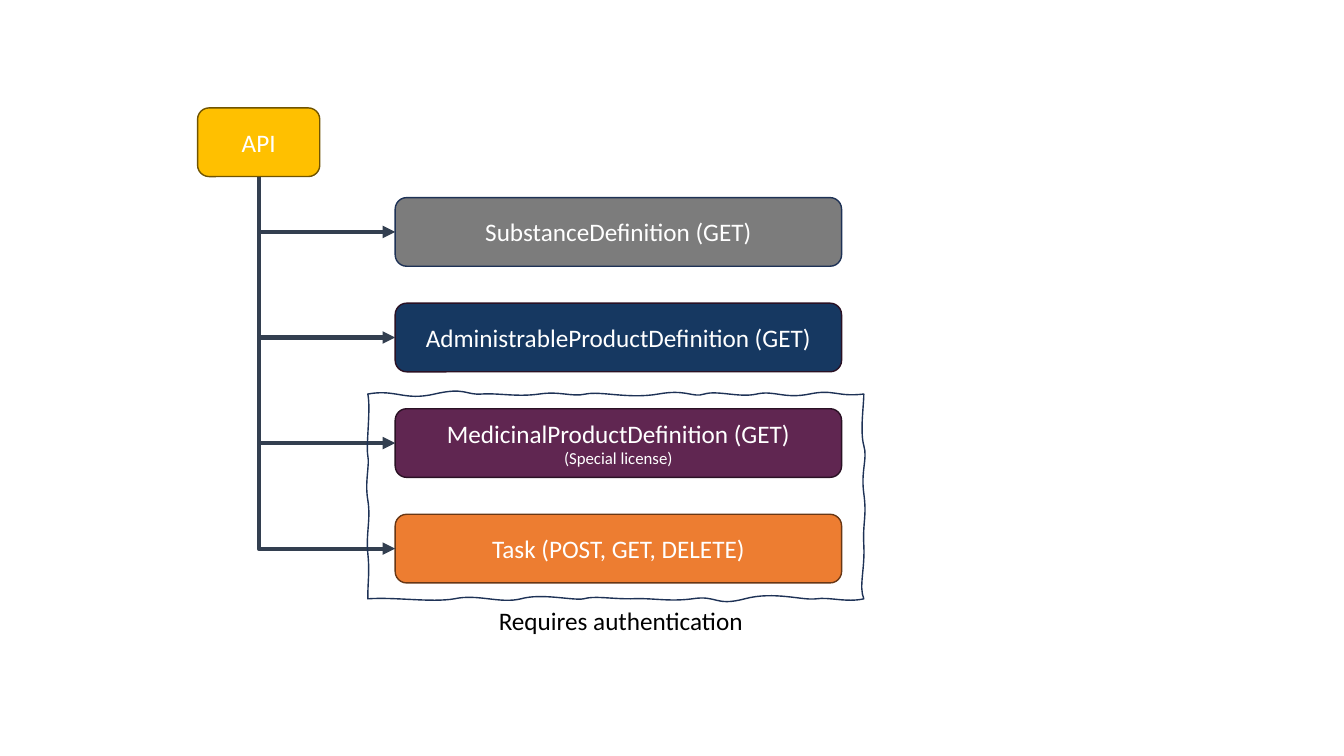
import dataclasses

import lxml.etree
import pptx
import pptx.dml.color
import pptx.enum.shapes
import pptx.enum.text
import pptx.oxml.ns
import pptx.util

Cm = pptx.util.Cm
Pt = pptx.util.Pt
qn = pptx.oxml.ns.qn


@dataclasses.dataclass(frozen=True)
class Theme:
    font: str = "Calibri"
    body_size: int = 18
    note_size: int = 12
    light_text: str = "FFFFFF"
    dark_text: str = "000000"
    connector: str = "333F50"
    navy_line: str = "1E3256"
    plum_line: str = "2A1124"
    api: tuple = ("FFC000", "705400")
    substance: tuple = ("7C7C7C", navy_line)
    administrable: tuple = ("163861", plum_line)
    medicinal: tuple = ("602651", plum_line)
    task: tuple = ("ED7D31", "683715")
    outline_width: float = 1
    connector_width: float = 3


THEME = Theme()

RESOURCES = [
    ("SubstanceDefinition (GET)", None, THEME.substance),
    ("AdministrableProductDefinition (GET)", None, THEME.administrable),
    ("MedicinalProductDefinition (GET)", "(Special license)", THEME.medicinal),
    ("Task (POST, GET, DELETE)", None, THEME.task),
]

TOP_WAVES = [
    (0.71, -0.13, 0.91, 0.18, 1.68), (2.46, -0.18, 2.46, 0.03, 2.87),
    (3.28, -0.03, 3.76, 0.08, 4.32), (4.85, -0.08, 5.13, 0.08, 5.49),
    (5.87, -0.08, 6.58, 0.13, 7.32), (8.03, -0.13, 8.18, 0.1, 8.48),
    (8.81, -0.1, 9.37, 0.1, 9.8), (10.24, -0.1, 10.49, 0.13, 11.13),
    (11.76, -0.13, 11.81, 0.08, 12.5),
]
RIGHT_WAVES = [
    (0.28, 0, 0.94, -0.1, 1.3), (1.63, 0.1, 1.93, -0.08, 2.51),
    (3.1, 0.08, 3.2, -0.03, 3.81), (4.42, 0.03, 4.85, -0.13, 5.16),
]
BOTTOM_WAVES = [
    (12.07, 0.1, 11.63, -0.05, 11.3), (10.97, 0.05, 10.24, -0.2, 9.5),
    (8.74, 0.2, 8.81, -0.1, 8.18), (7.57, 0.08, 7.16, -0.03, 6.63),
    (6.07, 0, 5.72, -0.08, 5.44), (5.16, 0.05, 4.39, -0.15, 3.86),
    (3.33, 0.13, 2.77, -0.13, 2.18), (1.6, 0.1, 0.69, -0.05, 0),
]
LEFT_WAVES = [
    (4.67, 0, 4.52, 0.05, 4.01), (3.51, -0.05, 3.15, 0.08, 2.67),
    (2.21, -0.08, 1.8, 0.05, 1.55), (1.3, -0.05, 0.36, 0.08, 0),
]


def rgb(value):
    return pptx.dml.color.RGBColor.from_string(value)


def write_text(paragraph, text, *, size=THEME.body_size, color=THEME.light_text, align="CENTER"):
    paragraph.alignment = getattr(pptx.enum.text.PP_ALIGN, align)
    run = paragraph.add_run()
    run.text = text
    run.font.name = THEME.font
    run.font.size = Pt(size)
    run.font.color.rgb = rgb(color)


def set_line(line, color, width):
    line.color.rgb = rgb(color)
    line.width = Pt(width)


def add_box(slide, box, title, note, colors):
    shape = slide.shapes.add_shape(
        pptx.enum.shapes.MSO_SHAPE.ROUNDED_RECTANGLE, *map(Cm, box))
    fill, outline = colors
    shape.shadow.inherit = False
    shape.fill.solid()
    shape.fill.fore_color.rgb = rgb(fill)
    set_line(shape.line, outline, THEME.outline_width)
    frame = shape.text_frame
    frame.word_wrap = True
    frame.vertical_anchor = pptx.enum.text.MSO_ANCHOR.MIDDLE
    write_text(frame.paragraphs[0], title)
    if note:
        write_text(frame.add_paragraph(), note, size=THEME.note_size)
    return shape


def add_branch(slide, source, target):
    start_x, start_y = source.left + source.width // 2, source.top + source.height
    end_x, end_y = target.left, target.top + target.height // 2
    run, drop = end_x - start_x, end_y - start_y
    connector = slide.shapes.add_connector(
        pptx.enum.shapes.MSO_CONNECTOR.ELBOW, start_x, start_y, end_x, end_y)
    connector.begin_connect(source, 2)
    connector.end_connect(target, 1)
    connector.left = (start_x + end_x - drop) // 2
    connector.top = (start_y + end_y - run) // 2
    connector.width, connector.height = drop, run
    set_line(connector.line, THEME.connector, THEME.connector_width)
    properties = connector._element.spPr
    properties.find(qn("a:prstGeom")).set("prst", "bentConnector2")
    transform = properties.find(qn("a:xfrm"))
    transform.set("rot", "16200000")
    transform.set("flipH", "1")
    line = properties.find(qn("a:ln"))
    lxml.etree.SubElement(line, qn("a:tailEnd"), type="triangle")
    lxml.etree.SubElement(properties, qn("a:effectLst"))


def horizontal_curves(waves, y):
    return [((a, y + da), (b, y + db), (end, y)) for a, da, b, db, end in waves]


def vertical_curves(waves, x):
    return [((x + da, a), (x + db, b), (x, end)) for a, da, b, db, end in waves]


def bend_segments(shape, curves):
    segments = list(shape._element.spPr.iter(qn("a:lnTo")))
    for segment, curve in zip(segments, curves):
        bend = lxml.etree.Element(qn("a:cubicBezTo"))
        for x, y in curve:
            lxml.etree.SubElement(bend, qn("a:pt"), x=str(Cm(x)), y=str(Cm(y)))
        segment.getparent().replace(segment, bend)


def add_wavy_frame(slide, box):
    left, top, width, height = box
    curves = (horizontal_curves(TOP_WAVES, 0) + vertical_curves(RIGHT_WAVES, width)
              + horizontal_curves(BOTTOM_WAVES, height) + vertical_curves(LEFT_WAVES, 0))
    builder = slide.shapes.build_freeform(Cm(left), Cm(top))
    builder.add_line_segments(
        [(Cm(left + x), Cm(top + y)) for _, _, (x, y) in curves], close=True)
    frame = builder.convert_to_shape()
    bend_segments(frame, curves)
    frame.shadow.inherit = False
    frame.fill.background()
    set_line(frame.line, THEME.navy_line, THEME.outline_width)


def add_caption(slide, box, text):
    caption = slide.shapes.add_textbox(*map(Cm, box))
    caption.text_frame.word_wrap = True
    caption.text_frame.auto_size = pptx.enum.text.MSO_AUTO_SIZE.SHAPE_TO_FIT_TEXT
    write_text(caption.text_frame.paragraphs[0], text, color=THEME.dark_text, align="LEFT")


def add_resource_tree(slide, box):
    left, top, width, box_height = box
    api = add_box(slide, (left, top, 3.08, box_height), "API", None, THEME.api)
    indent, first_drop, pitch = 4.98, 2.26, 2.66
    resources = [
        add_box(slide, (left + indent, top + first_drop + index * pitch,
                        width - indent, box_height), *resource)
        for index, resource in enumerate(RESOURCES)
    ]
    for resource in resources:
        add_branch(slide, api, resource)


def add_authentication_area(slide, box):
    left, top, width, height = box
    add_wavy_frame(slide, box)
    add_caption(slide, (left + 3.05, top + height + 0.05, 7.82, 1.03),
                "Requires authentication")


def main():
    presentation = pptx.Presentation()
    presentation.slide_width = Cm(33.87)
    presentation.slide_height = Cm(19.05)
    slide = presentation.slides.add_slide(presentation.slide_layouts[6])
    add_resource_tree(slide, (4.98, 2.72, 16.23, 1.73))
    add_authentication_area(slide, (9.27, 9.93, 12.5, 5.16))
    presentation.save("out.pptx")


if __name__ == "__main__":
    main()
